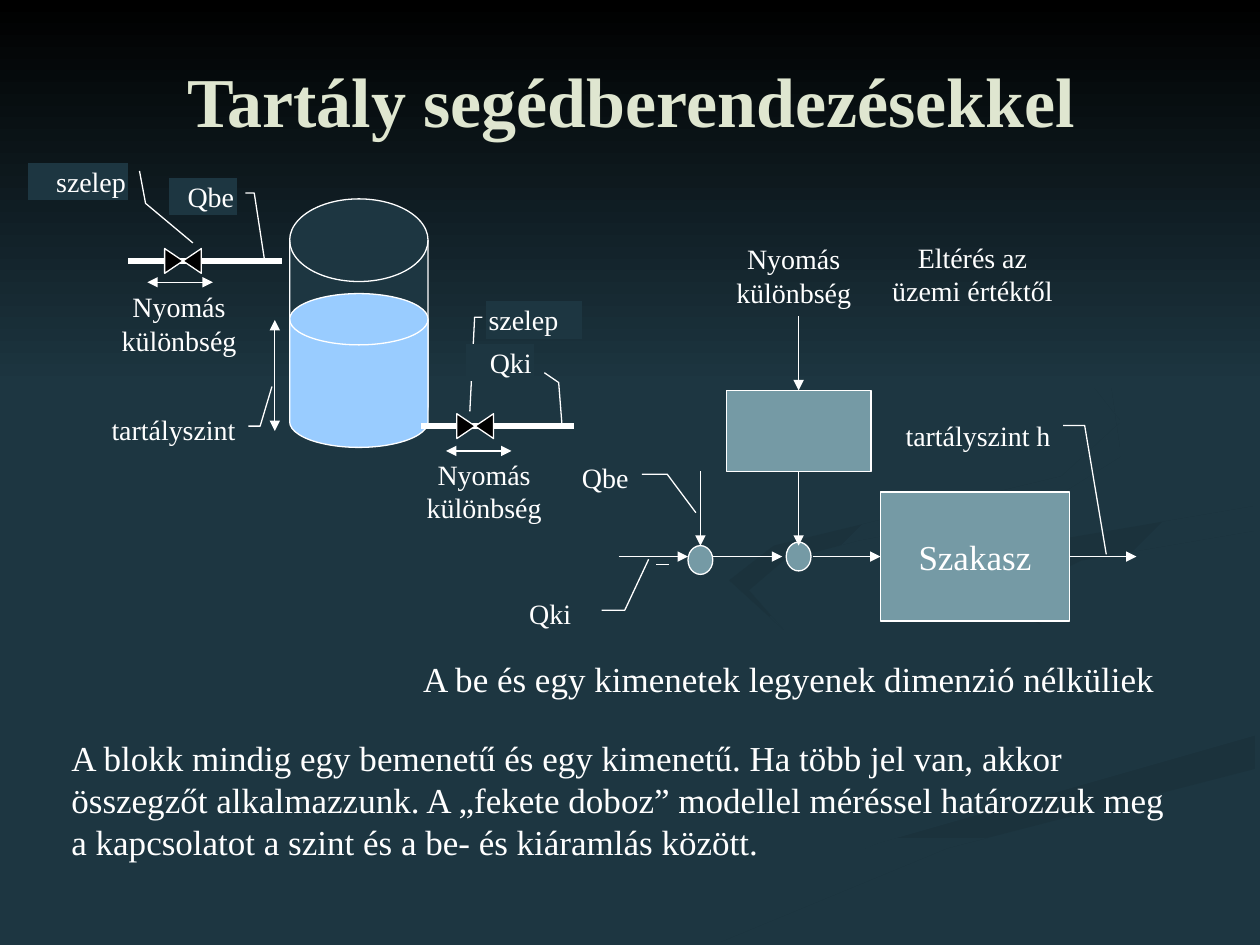
from lxml.etree import SubElement
from pptx import Presentation
from pptx.dml.color import RGBColor
from pptx.enum.shapes import MSO_CONNECTOR, MSO_SHAPE
from pptx.enum.text import MSO_ANCHOR, MSO_AUTO_SIZE, PP_ALIGN
from pptx.oxml.ns import qn
from pptx.util import Cm, Pt

THEME = dict(font="Times New Roman", title=40, body=20, label=16, thin=0.75, pipe=3,
             bg="1D3641", shade="1C343E", deep="1B323C", black="000000", white="FFFFFF",
             heading="DFE6D0", water="99CCFF", block="759AA5")
L, C, R = PP_ALIGN.LEFT, PP_ALIGN.CENTER, PP_ALIGN.RIGHT

# Content: positions in cm
TITLE = ("Tartály segédberendezésekkel", (1.93, 1.12, 21.59, 1.78))
PRESSURE = "Nyomás különbség"
LABELS = [  # text, left, top, width, alignment, size
    (PRESSURE, 2.11, 5.72, 3, C, "label"),
    (PRESSURE, 8.26, 9.09, 3, C, "label"),
    (PRESSURE, 14.5, 4.75, 3, C, "label"),
    ("Eltérés az üzemi értéktől", 17.55, 4.72, 4.11, C, "label"),
    ("A blokk mindig egy bemenetű és egy kimenetű. Ha több jel van, akkor összegzőt "
     "alkalmazzunk. A „fekete doboz” modellel méréssel határozzuk meg a kapcsolatot "
     "a szint és a be- és kiáramlás között.", 1.19, 14.73, 22.76, L, "body"),
    ("A be és egy kimenetek legyenek dimenzió nélküliek", 8.28, 13.13, 15.7, L, "body"),
]
HEIGHTS = {PRESSURE: 1.63, "Eltérés az üzemi értéktől": 1.63}
CALLOUTS = [  # text, left, top, width, alignment, leader as (y, x) fractions
    ("Qbe", 3.4, 3.58, 1.37, R, (0.41, 1.13, 0.41, 1.26, 2.17, 1.41)),
    ("tartályszint", 1.83, 8.28, 2.97, R, (0.41, 1.07, 0.41, 1.15, -0.64, 1.23)),
    ("szelep", 9.8, 6.07, 1.93, L, (0.43, -0.04, 0.43, -0.12, 2.93, -0.17)),
    ("szelep", 0.56, 3.28, 2.03, R, (0.22, 1.11, 1.08, 1.17, 2.13, 1.64)),
    ("tartályszint h", 17.88, 8.41, 3.35, R, (0.22, 1.06, 0.22, 1.19, 3.64, 1.32)),
    ("Qbe", 11.02, 9.25, 1.7, R, (0.41, 1.13, 0.41, 1.43, 1.43, 1.77)),
    ("Qki", 10.62, 11.99, 1.3, L, (0.41, 1.16, 0.41, 1.52, -0.94, 1.89)),
    ("Qki", 9.4, 6.93, 1.37, R, (0.77, 1.15, 1.03, 1.36, 2.17, 1.41)),
]
VALVES = [((2.59, 5.26), (2.97, 5.69)), ((8.48, 8.59), (8.99, 9.09))]  # pipe, arrow
TANK_X, TANK_W = 5.84, 2.79
TANKS = [(4.01, 5, "bg"), (5.92, 3.1, "water")]  # top, height, fill
FLOW_Y, SUM_X, BLOCK_X = 11.22, 14.12, 16.1
SUMS = [(BLOCK_X, 11.22), (SUM_X, 11.29)]

# Background swirls: first colour, second colour, angle, points in mm
SWIRLS = [
    ("bg", "shade", 0, [
        (198, 140), (156, 126), (146, 117), (148, 123), (195, 139), (198, 148),
        (116, 171), (76, 190), (92, 190), (143, 169), (198, 154), (203, 147)]),
    ("bg", "shade", 45, [
        (240, 145), (230, 137), (193, 125), (184, 118), (192, 129), (224, 139),
        (233, 148), (227, 154), (239, 148)]),
    ("deep", "bg", 90, [
        (128, 190), (145, 190), (191, 171), (253, 155), (253, 148), (177, 170), (145, 183)]),
    ("bg", None, 0, [
        (184, 118), (193, 126), (234, 139), (239, 148), (227, 154), (179, 166), (121, 190),
        (132, 190), (177, 170), (254, 148), (254, 137), (215, 128), (199, 117), (212, 109),
        (254, 102), (254, 98), (205, 106)]),
    ("deep", "bg", 45, [
        (198, 117), (201, 122), (210, 126), (204, 120), (218, 113), (253, 107),
        (253, 102), (212, 109)]),
    ("deep", "bg", 45, [
        (173, 109), (210, 102), (226, 92), (224, 78), (209, 66), (194, 59), (215, 71),
        (226, 85), (214, 96), (156, 110), (147, 117), (158, 127), (151, 119), (158, 113)]),
]


def color(name):
    return RGBColor.from_string(THEME[name])


def paint(sp, first, second=None, angle=0, line=None):
    sp.shadow.inherit = False
    if second:
        sp.fill.gradient()
        sp.fill.gradient_angle = (360 - angle) % 360
        for stop, name in zip(sp.fill.gradient_stops, (first, second)):
            stop.color.rgb = color(name)
    else:
        sp.fill.solid()
        sp.fill.fore_color.rgb = color(first)
    if line:
        sp.line.color.rgb = color(line)
        sp.line.width = Pt(THEME["thin"])
    else:
        sp.line.fill.background()


def add_shape(kind, box, fill, line="white"):
    sp = slide.shapes.add_shape(kind, *map(Cm, box))
    paint(sp, fill, line=line)
    return sp


def write(sp, text, size, align, tint="white", bold=False, anchor=MSO_ANCHOR.TOP):
    tf = sp.text_frame
    tf.word_wrap = True
    tf.vertical_anchor = anchor
    p = tf.paragraphs[0]
    p.text, p.alignment = text, align
    p.font.name, p.font.size, p.font.bold = THEME["font"], Pt(THEME[size]), bold
    p.font.color.rgb = color(tint)
    return tf


def add_line(x1, y1, x2, y2, ends=("tailEnd",), width="thin"):
    cx = slide.shapes.add_connector(MSO_CONNECTOR.STRAIGHT, *map(Cm, (x1, y1, x2, y2)))
    cx.line.color.rgb = color("white")
    cx.line.width = Pt(THEME[width])
    ln = cx.line._get_or_add_ln()
    for end in ends:
        SubElement(ln, qn("a:" + end), type="triangle")
    SubElement(cx._element.spPr, qn("a:effectLst"))
    return cx


prs = Presentation()
prs.slide_width, prs.slide_height = Cm(25.4), Cm(19.05)
slide = prs.slides.add_slide(prs.slide_layouts[6])
slide.background.fill.solid()
slide.background.fill.fore_color.rgb = color("bg")
BOTH = ("headEnd", "tailEnd")

# Background
for first, second, angle, points in SWIRLS:
    builder = slide.shapes.build_freeform(*points[0], scale=Cm(0.1))
    builder.add_line_segments(points[1:], close=True)
    paint(builder.convert_to_shape(), first, second, angle)
band = add_shape(MSO_SHAPE.RECTANGLE, (0, 0, 25.4, 7.82), "bg", None)
paint(band, "black", "bg", 90)

# Title
text, box = TITLE
write(slide.shapes.add_textbox(*map(Cm, box)), text, "title", C, "heading", True,
      MSO_ANCHOR.MIDDLE)

# Tank with its level arrow
for top, height, fill in TANKS:
    add_shape(MSO_SHAPE.FLOWCHART_MAGNETIC_DISK, (TANK_X, top, TANK_W, height), fill)
add_line(5.54, 6.45, 5.54, 8.69, BOTH)

# Pipes with valves
for (x, y), (ax, ay) in VALVES:
    add_line(x, y, x + 3.1, y, (), "pipe")
    valve = add_shape(MSO_SHAPE.FLOWCHART_COLLATE, (x + 0.85, y - 0.37, 0.5, 0.74), "black")
    valve.rotation = 270
    add_line(ax, ay, ax + 1.32, ay, BOTH)

# Block diagram
process = add_shape(MSO_SHAPE.RECTANGLE, (17.75, FLOW_Y - 1.3, 3.81, 2.6), "block")
write(process, "Szakasz", "body", C, anchor=MSO_ANCHOR.MIDDLE)
block = add_shape(MSO_SHAPE.RECTANGLE, (BLOCK_X - 1.46, 7.87, 2.92, 1.63), "block")
for x, y in SUMS:
    add_shape(MSO_SHAPE.OVAL, (x - 0.25, y - 0.29, 0.5, 0.58), "block")
for x1, x2 in [(12.47, 13.87), (14.38, 15.77)]:
    add_line(x1, FLOW_Y, x2, FLOW_Y)
add_line(16.38, FLOW_Y, 17.75, FLOW_Y).end_connect(process, 1)
add_line(21.56, FLOW_Y, 22.91, FLOW_Y).begin_connect(process, 3)
add_line(SUM_X, 9.5, SUM_X, 11)
add_line(BLOCK_X, 9.5, BLOCK_X, 11).begin_connect(block, 2)
add_line(BLOCK_X, 6.38, BLOCK_X, 7.87).end_connect(block, 0)
add_line(13.23, 11.38, 13.49, 11.38, ())  # minus sign

# Callouts
for text, x, y, width, align, leader in CALLOUTS:
    sp = add_shape(MSO_SHAPE.LINE_CALLOUT_2_NO_BORDER, (x, y, width, 0.76), "bg")
    for i, value in enumerate(leader):
        sp.adjustments[i] = value
    tf = write(sp, text, "label", align)
    tf.margin_left = tf.margin_right = Cm(0.05)
    tf.margin_top = tf.margin_bottom = Cm(0.03)

# Labels and body text
for text, x, y, width, align, size in LABELS:
    height = HEIGHTS.get(text, 1.12)
    tf = write(slide.shapes.add_textbox(*map(Cm, (x, y, width, height))), text, size, align)
    tf.auto_size = MSO_AUTO_SIZE.SHAPE_TO_FIT_TEXT

prs.save("out.pptx")
